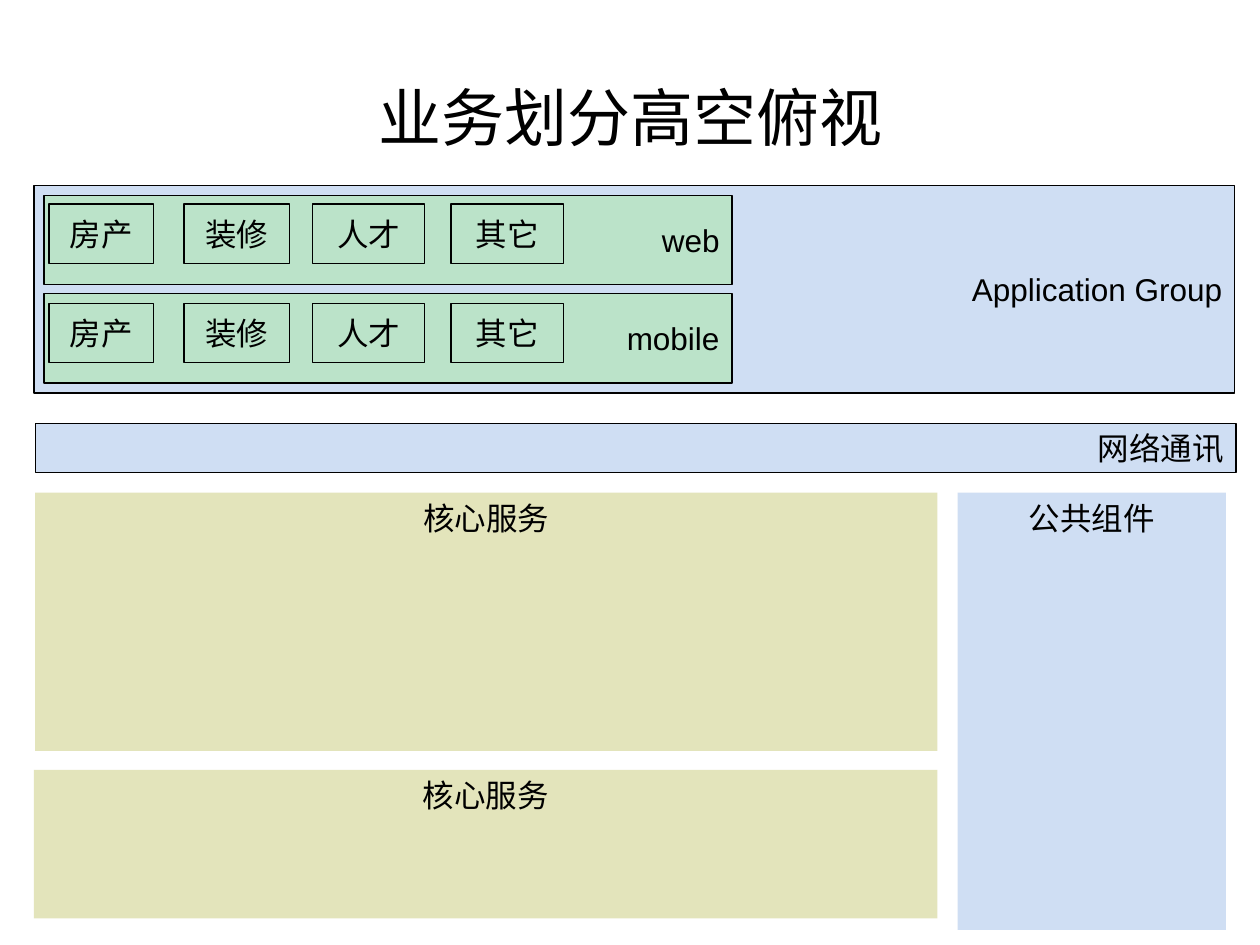
"""Build a one-slide overview of business layers and services."""
from dataclasses import dataclass

from pptx import Presentation
from pptx.dml.color import RGBColor
from pptx.enum import shapes, text
from pptx.util import Inches, Pt


@dataclass(frozen=True)
class Theme:
    font: str = "Arial"
    ink: str = "000000"
    blue: str = "CFDEF3"
    green: str = "BBE3C9"
    olive: str = "E3E4BB"
    title_size: int = 36
    label_size: int = 18
    line_width: float = 0.75


theme = Theme()
CENTER, RIGHT = text.PP_ALIGN.CENTER, text.PP_ALIGN.RIGHT
TOP, MIDDLE = text.MSO_ANCHOR.TOP, text.MSO_ANCHOR.MIDDLE


def write_label(box, label, size, align, anchor):
    frame = box.text_frame
    frame.vertical_anchor = anchor
    frame.margin_left = frame.margin_right = Inches(0.1)
    frame.margin_top = frame.margin_bottom = Inches(0.05)
    para = frame.paragraphs[0]
    para.alignment = align
    span = para.add_run()
    span.text = label
    span.font.name = theme.font
    span.font.size = Pt(size)
    span.font.color.rgb = RGBColor.from_string(theme.ink)


def add_panel(parent, label, bounds, fill, align, outlined=True):
    box = parent.add_shape(shapes.MSO_SHAPE.RECTANGLE, *map(Inches, bounds))
    box.shadow.inherit = False
    box.fill.solid()
    box.fill.fore_color.rgb = RGBColor.from_string(fill)
    if outlined:
        box.line.color.rgb = RGBColor.from_string(theme.ink)
        box.line.width = Pt(theme.line_width)
    else:
        box.line.fill.background()
    box.text_frame.word_wrap = False
    write_label(box, label, theme.label_size, align, MIDDLE if outlined else TOP)


deck = Presentation()
deck.slide_width, deck.slide_height = Inches(10), Inches(7.5)
page = deck.slides.add_slide(deck.slide_layouts[5])

title = page.shapes.title
title.left, title.top = Inches(0.5), Inches(0.3)
title.width, title.height = Inches(9), Inches(1.25)
write_label(title, "业务划分高空俯视", theme.title_size, CENTER, MIDDLE)

add_panel(page.shapes, "Application Group", (0.27, 1.47, 9.53, 1.65), theme.blue, RIGHT)
add_panel(page.shapes, "网络通讯", (0.28, 3.36, 9.53, 0.39), theme.blue, RIGHT)

businesses = [
    ("房产", 0.39, 0.83),
    ("装修", 1.46, 0.84),
    ("人才", 2.48, 0.89),
    ("其它", 3.58, 0.89),
]
for channel, channel_top, business_top in (("web", 1.55, 1.62), ("mobile", 2.33, 2.41)):
    group = page.shapes.add_group_shape()
    add_panel(group.shapes, channel, (0.35, channel_top, 5.46, 0.71), theme.green, RIGHT)
    for business, left, width in businesses:
        add_panel(group.shapes, business, (left, business_top, width, 0.47), theme.green, CENTER)

services = [
    ("核心服务", (0.28, 3.91, 7.16, 2.05), theme.olive),
    ("公共组件", (7.6, 3.91, 2.13, 3.47), theme.blue),
    ("核心服务", (0.27, 6.11, 7.17, 1.18), theme.olive),
]
for service, bounds, fill in services:
    add_panel(page.shapes, service, bounds, fill, CENTER, outlined=False)

deck.save("out.pptx")
